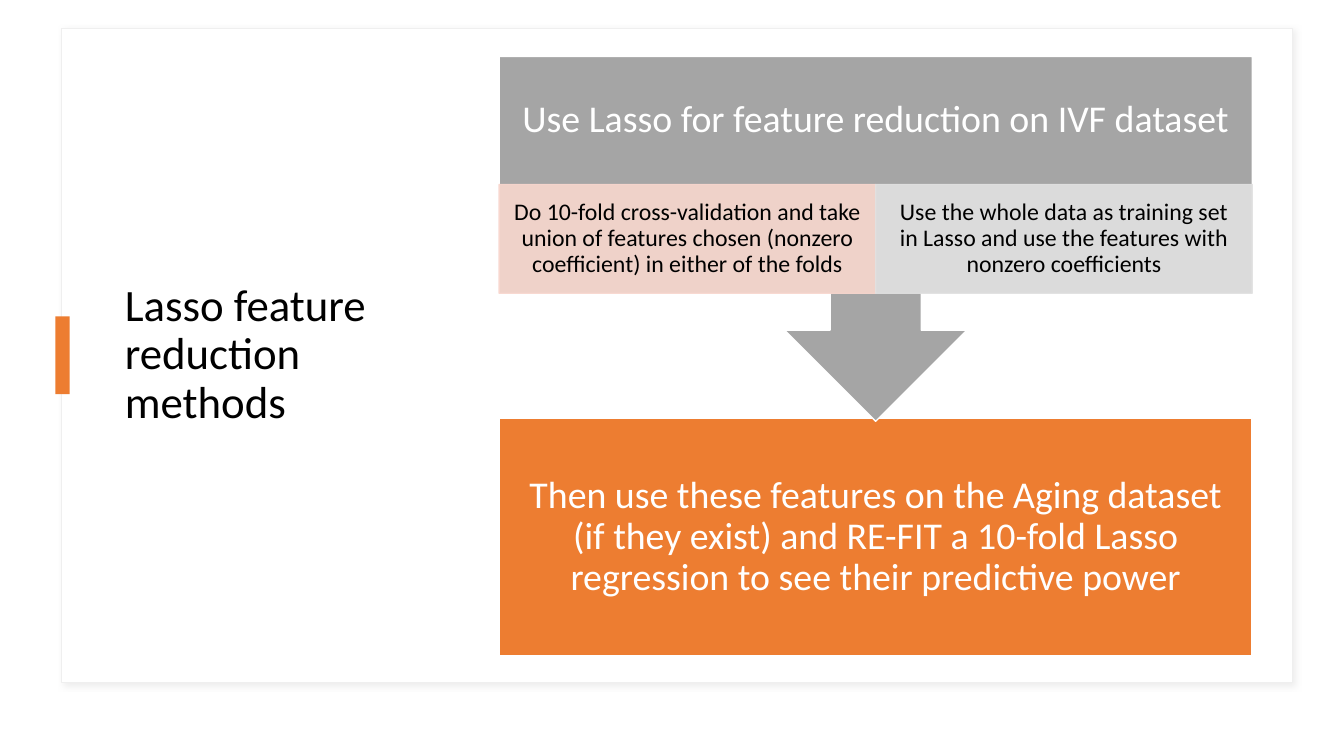
import pptx
import pptx.util
import pptx.dml.color
import pptx.enum.shapes
import pptx.enum.text
import pptx.oxml
import pptx.oxml.ns

Inches, Pt = pptx.util.Inches, pptx.util.Pt
SHAPE = pptx.enum.shapes.MSO_SHAPE
ALIGN = pptx.enum.text.PP_ALIGN
LEFT, WIDE = 4.95, 7.47


def rgb(code):
    """Turn a hex string into a colour."""
    return pptx.dml.color.RGBColor.from_string(code)


def block(slide, box, fill, line=None, kind=SHAPE.RECTANGLE):
    """Add a filled shape with an optional thin outline."""
    item = slide.shapes.add_shape(kind, *map(Inches, box))
    item.shadow.inherit = False
    item.fill.solid()
    item.fill.fore_color.rgb = rgb(fill)
    if line:
        item.line.color.rgb = rgb(line)
        item.line.width = Pt(1)
    else:
        item.line.fill.background()
    return item


def write(item, text, size, color, pads, align=ALIGN.CENTER):
    """Set one paragraph in a shape, with side and top padding."""
    side, top = map(Inches, pads)
    frame = item.text_frame
    para = frame.paragraphs[0]
    para.text = text
    looks = {
        frame: {"word_wrap": True,
                "vertical_anchor": pptx.enum.text.MSO_ANCHOR.MIDDLE,
                "margin_left": side, "margin_right": side,
                "margin_top": top, "margin_bottom": top},
        para: {"alignment": align, "line_spacing": 0.9},
        para.runs[0].font: {"size": Pt(size), "name": "Calibri"},
    }
    for part, values in looks.items():
        for name, value in values.items():
            setattr(part, name, value)
    para.runs[0].font.color.rgb = rgb(color)


def label(slide, box, *args):
    """Add a text box and write in it."""
    write(slide.shapes.add_textbox(*map(Inches, box)), *args)


def fade(item, share):
    """Set the opacity of a shape's fill and line in percent."""
    for color in item.element.spPr.iter(pptx.oxml.ns.qn("a:srgbClr")):
        alpha = color.makeelement(pptx.oxml.ns.qn("a:alpha"),
                                  {"val": str(share * 1000)})
        color.append(alpha)


def shade(item):
    """Give a shape a soft shadow to the lower right."""
    effects = item.element.spPr.find(pptx.oxml.ns.qn("a:effectLst"))
    effects.append(pptx.oxml.parse_xml(
        f'<a:outerShdw {pptx.oxml.ns.nsdecls("a")} blurRad="{Pt(4)}" '
        f'dist="{Pt(3)}" dir="{45 * 60000}" algn="tl" rotWithShape="0">'
        '<a:srgbClr val="C5C3C3"><a:alpha val="30000"/></a:srgbClr>'
        '</a:outerShdw>'))


def panel(slide):
    """Draw the framed panel with its title and accent tab."""
    shade(block(slide, (0.61, 0.28, 12.21, 6.49), "FFFFFF", "EFEFEF"))
    label(slide, (1.14, 0.55, 3.27, 5.95), "Lasso feature reduction methods",
          32, "000000", (0.1, 0.05), ALIGN.LEFT)
    block(slide, (0.55, 3.14, 0.14, 0.77), "ED7D31")


def flow(slide):
    """Draw the two steps and the choices inside the first."""
    last = block(slide, (LEFT, 4.15, WIDE, 2.36), "ED7D31", "FFFFFF")
    write(last, "Then use these features on the Aging dataset (if they exist) "
          "and RE-FIT a 10-fold Lasso regression to see their predictive power",
          27, "FFFFFF", (0.21, 0.21))
    first = block(slide, (LEFT, 0.56, WIDE, 3.62), "A5A5A5", "FFFFFF",
                  SHAPE.UP_ARROW_CALLOUT)
    first.rotation = 180
    label(slide, (LEFT, 0.56, WIDE, 1.27),
          "Use Lasso for feature reduction on IVF dataset",
          27, "FFFFFF", (0.21, 0.21))
    picks = [
        ("F8D7CE", "Do 10-fold cross-validation and take union of features "
         "chosen (nonzero coefficient) in either of the folds"),
        ("E1E1E1", "Use the whole data as training set in Lasso and use the "
         "features with nonzero coefficients"),
    ]
    half = WIDE / len(picks)
    for col, (fill, text) in enumerate(picks):
        pick = block(slide, (LEFT + col * half, 1.83, half, 1.08), fill, fill)
        fade(pick, 90)
        write(pick, text, 17, "000000", (0.13, 0.02))


def main():
    """Build the slide and save it."""
    deck = pptx.Presentation()
    deck.slide_width, deck.slide_height = Inches(13.33), Inches(7.5)
    slide = deck.slides.add_slide(deck.slide_layouts[6])
    panel(slide)
    flow(slide)
    deck.save("out.pptx")


main()
